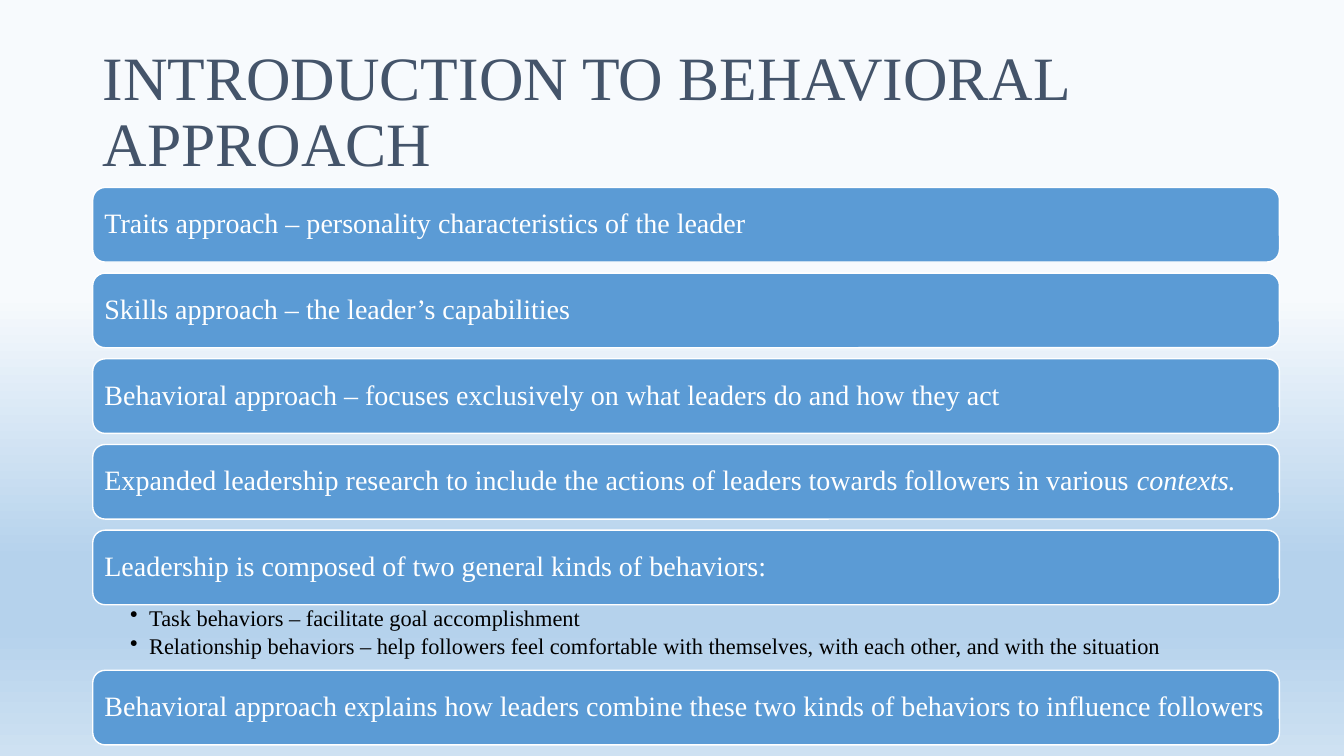
from lxml.etree import SubElement
from pptx import Presentation
from pptx.dml.color import RGBColor
from pptx.enum.shapes import MSO_SHAPE
from pptx.enum.text import MSO_ANCHOR, PP_ALIGN
from pptx.oxml.ns import qn
from pptx.util import Pt

EMU_PER_PX = 9144
FONT = "Times New Roman"
SLATE = RGBColor(0x44, 0x54, 0x6A)
BLUE = RGBColor(0x5B, 0x9B, 0xD5)
WHITE = RGBColor(0xFF, 0xFF, 0xFF)
BLACK = RGBColor(0x00, 0x00, 0x00)
SKY_STOPS = [(39, "F7FAFD"), (74, "B5D2EC"), (83, "B5D2EC"), (100, "CEE1F2")]

LEFT, WIDTH = 92, 1177
BAR_TOP, BAR_HEIGHT, BAR_PITCH = 186, 74, 85
BEHAVIORS_HEIGHT = 65

# Each statement is a list of (text, italic) runs.
STATEMENTS = [
    [("Traits approach – personality characteristics of the leader", False)],
    [("Skills approach – the leader’s capabilities", False)],
    [("Behavioral approach – focuses exclusively on what leaders do and how they act", False)],
    [("Expanded leadership research to include the actions of leaders towards "
      "followers in various ", False), ("contexts.", True)],
    [("Leadership is composed of two general kinds of behaviors:", False)],
]
BEHAVIORS = [
    "Task behaviors – facilitate goal accomplishment",
    "Relationship behaviors – help followers feel comfortable with themselves, "
    "with each other, and with the situation",
]
CONCLUSION = [("Behavioral approach explains how leaders combine these two kinds of "
               "behaviors to influence followers", False)]


def px(length):
    return length * EMU_PER_PX


def box(left, top, width, height):
    return px(left), px(top), px(width), px(height)


def paint_background(slide):
    fill = slide.background.fill
    fill.gradient()
    fill.gradient_angle = 270
    stops = slide.element.find(".//" + qn("a:gsLst"))
    for stop in list(stops):
        stops.remove(stop)
    for percent, color in SKY_STOPS:
        stop = SubElement(stops, qn("a:gs"), pos=str(percent * 1000))
        SubElement(stop, qn("a:srgbClr"), val=color)


def format_frame(frame, insets, anchor):
    """Set wrapping, anchor and the left, top, right and bottom insets."""
    frame.word_wrap = True
    frame.vertical_anchor = anchor
    (frame.margin_left, frame.margin_top,
     frame.margin_right, frame.margin_bottom) = map(px, insets)


def add_bullet(paragraph, indent):
    properties = paragraph._p.get_or_add_pPr()
    properties.set("marL", str(px(indent)))
    properties.set("indent", str(-px(indent)))
    SubElement(properties, qn("a:buChar"), char="•")


def write(paragraph, text, *, size, color, italic=False, after=0):
    paragraph.alignment = PP_ALIGN.LEFT
    paragraph.line_spacing = 0.9
    paragraph.space_after = Pt(after)
    run = paragraph.add_run()
    run.text = text
    run.font.name = FONT
    run.font.size = Pt(size)
    run.font.italic = italic
    run.font.color.rgb = color


def add_title(slide, text):
    title = slide.shapes.title
    title.left, title.top, title.width, title.height = box(LEFT, 40, 1150, 145)
    format_frame(title.text_frame, (10, 5, 10, 5), MSO_ANCHOR.MIDDLE)
    write(title.text_frame.paragraphs[0], text, size=44, color=SLATE)


def add_bar(slide, top, statement):
    bar = slide.shapes.add_shape(MSO_SHAPE.ROUNDED_RECTANGLE, *box(LEFT, top, WIDTH, BAR_HEIGHT))
    bar.shadow.inherit = False
    bar.fill.solid()
    bar.fill.fore_color.rgb = BLUE
    bar.line.color.rgb = WHITE
    bar.line.width = Pt(1)
    format_frame(bar.text_frame, (8, 8, 8, 8), MSO_ANCHOR.MIDDLE)
    for text, italic in statement:
        write(bar.text_frame.paragraphs[0], text, size=20, color=WHITE, italic=italic)


def add_behaviors(slide, top, behaviors):
    frame = slide.shapes.add_textbox(*box(LEFT, top, WIDTH, BEHAVIORS_HEIGHT)).text_frame
    format_frame(frame, (37, 2, 12, 2), MSO_ANCHOR.TOP)
    for index, behavior in enumerate(behaviors):
        paragraph = frame.add_paragraph() if index else frame.paragraphs[0]
        add_bullet(paragraph, 19)
        write(paragraph, behavior, size=16, color=BLACK, after=3)


def main():
    presentation = Presentation()
    presentation.slide_width, presentation.slide_height = px(1333), px(750)
    slide = presentation.slides.add_slide(presentation.slide_layouts[5])
    paint_background(slide)
    add_title(slide, "INTRODUCTION TO BEHAVIORAL APPROACH")
    for index, statement in enumerate(STATEMENTS):
        add_bar(slide, BAR_TOP + index * BAR_PITCH, statement)
    behaviors_top = BAR_TOP + (len(STATEMENTS) - 1) * BAR_PITCH + BAR_HEIGHT
    add_behaviors(slide, behaviors_top, BEHAVIORS)
    add_bar(slide, behaviors_top + BEHAVIORS_HEIGHT, CONCLUSION)
    presentation.save("out.pptx")


if __name__ == "__main__":
    main()
